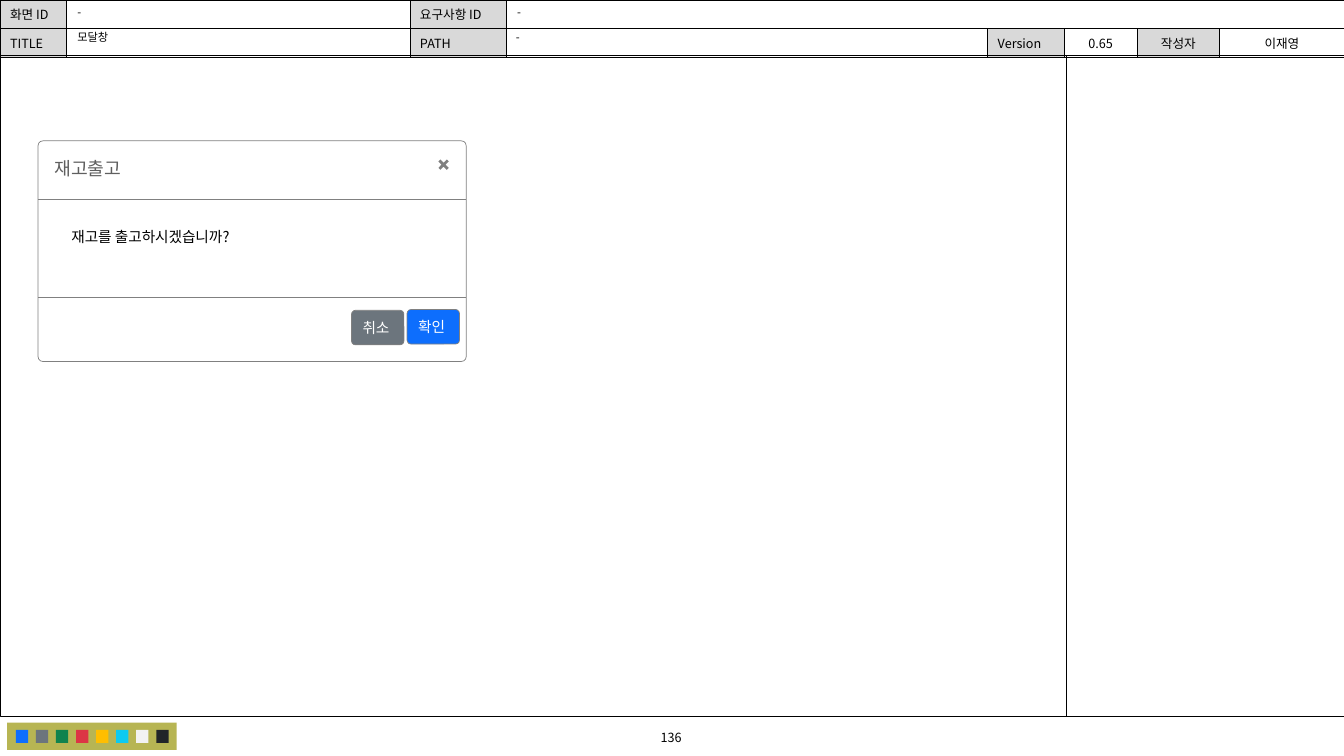
"""Build the stock release dialog page of a screen design document."""
from dataclasses import dataclass
from typing import Optional

import lxml.etree
import pptx
import pptx.dml.color
import pptx.enum.shapes
import pptx.enum.text
import pptx.oxml.ns
import pptx.util

Cm = pptx.util.Cm
Pt = pptx.util.Pt
Kind = pptx.enum.shapes.MSO_SHAPE
Align = pptx.enum.text.PP_ALIGN
Anchor = pptx.enum.text.MSO_ANCHOR
qn = pptx.oxml.ns.qn

NOTO = "Noto Sans CJK KR"
LATO = "Lato"
HUES = {
    "black": "000000", "white": "FFFFFF", "label": "D9D9D9", "edge": "808080",
    "title": "5F5F5F", "olive": "B7B553", "blue": "0D6EFD", "gray": "6C757D",
    "green": "10834E", "red": "DC3545", "yellow": "FFBE00", "cyan": "0DCAF0",
    "light": "F2F2F2", "dark": "212529",
}
SWATCHES = ("blue", "gray", "green", "red", "yellow", "cyan", "light", "dark")
WIDTHS = (1.68, 8.65, 2.44, 12.12, 1.93, 1.83, 2.09, 3.13)
ROWS = (
    ("화면 ID", "", "요구사항 ID", "", "", "", "", ""),
    ("TITLE", "", "PATH", "", "Version", "0.65", "작성자", "이재영"),
)
LABELS = ((0, 2), (0, 2, 4, 6))


@dataclass
class Box:
    x: float
    y: float
    w: float
    h: float
    text: str = ""
    size: float = 9
    font: str = NOTO
    ink: str = "black"
    kind: Optional[Kind] = None
    fill: str = ""
    line: str = ""
    width: float = 0.5
    round: float = 0
    align: Align = Align.LEFT
    anchor: Anchor = Anchor.MIDDLE
    pad: tuple = (0.25, 0.13, 0.25, 0.13)
    wrap: bool = True
    space: float = 1


@dataclass
class Rule:
    x: float
    y: float
    to_x: float
    to_y: float
    hue: str


def color(name: str) -> pptx.dml.color.RGBColor:
    return pptx.dml.color.RGBColor.from_string(HUES[name])


def style(para, size: float, font: str, ink: str, align: Align) -> None:
    para.alignment = align
    for run in para.runs:
        run.font.size = Pt(size)
        run.font.name = font
        run.font.color.rgb = color(ink)
        east = lxml.etree.SubElement(run.font._element, qn("a:ea"))
        east.set("typeface", font)


def draw_box(shapes, box: Box) -> None:
    place = [Cm(n) for n in (box.x, box.y, box.w, box.h)]
    if box.kind is None:
        shape = shapes.add_textbox(*place)
    else:
        shape = shapes.add_shape(box.kind, *place)
        paint(shape, box.fill, box.line, box.width)
        if box.round:
            shape.adjustments[0] = box.round
    if not box.text:
        return
    frame = shape.text_frame
    frame.text = box.text
    frame.word_wrap = box.wrap
    frame.vertical_anchor = box.anchor
    (frame.margin_left, frame.margin_top,
     frame.margin_right, frame.margin_bottom) = [Cm(n) for n in box.pad]
    para = frame.paragraphs[0]
    style(para, box.size, box.font, box.ink, box.align)
    if box.space != 1:
        para.line_spacing = box.space


def paint(shape, fill: str, line: str, width: float = 0.5) -> None:
    shape.shadow.inherit = False
    if fill:
        shape.fill.solid()
        shape.fill.fore_color.rgb = color(fill)
    else:
        shape.fill.background()
    if line:
        shape.line.color.rgb = color(line)
        shape.line.width = Pt(width)
    else:
        shape.line.fill.background()


def draw_rule(shapes, rule: Rule) -> None:
    ends = [Cm(n) for n in (rule.x, rule.y, rule.to_x, rule.to_y)]
    line = shapes.add_connector(pptx.enum.shapes.MSO_CONNECTOR.STRAIGHT, *ends)
    line.line.color.rgb = color(rule.hue)
    line.line.width = Pt(0.5)
    lxml.etree.SubElement(line._element.spPr, qn("a:effectLst"))


def border(cell) -> None:
    props = cell._tc.get_or_add_tcPr()
    for side in ("a:lnL", "a:lnR", "a:lnT", "a:lnB"):
        edge = lxml.etree.SubElement(props, qn(side), w=str(Pt(0.5)))
        fill = lxml.etree.SubElement(edge, qn("a:solidFill"))
        lxml.etree.SubElement(fill, qn("a:srgbClr"), val=HUES["black"])


def draw_head(shapes) -> None:
    table = shapes.add_table(len(ROWS), len(WIDTHS), 0, 0, Cm(33.87), Cm(1.42)).table
    table.first_row = table.horz_banding = False
    for col, width in zip(table.columns, WIDTHS):
        col.width = Cm(width)
    for r, row in enumerate(ROWS):
        table.rows[r].height = Cm(0.71)
        for c, text in enumerate(row):
            cell = table.cell(r, c)
            border(cell)
            cell.fill.solid()
            cell.fill.fore_color.rgb = color("label" if c in LABELS[r] else "white")
            para = cell.text_frame.paragraphs[0]
            para.text = text
            style(para, 9, NOTO, "black", Align.CENTER if c > 4 else Align.LEFT)
            if not text:
                para._p.get_or_add_endParaRPr().set("sz", "900")
    table.cell(0, 3).merge(table.cell(0, 7))


def draw_cross(shapes, x: float, y: float) -> None:
    arm = [(0, -0.05), (0.08, -0.13), (0.13, -0.08)]
    points = []
    for _ in range(4):
        points += [(Cm(x + dx), Cm(y + dy)) for dx, dy in arm]
        arm = [(-dy, dx) for dx, dy in arm]
    pen = shapes.build_freeform(*points[0])
    pen.add_line_segments(points[1:], close=True)
    paint(pen.convert_to_shape(), "edge", "")


def main() -> None:
    deck = pptx.Presentation()
    deck.slide_width, deck.slide_height = Cm(33.87), Cm(19.05)
    shapes = deck.slides.add_slide(deck.slide_layouts[6]).shapes

    draw_head(shapes)
    draw_box(shapes, Box(0, 1.4, 33.87, 16.66, kind=Kind.RECTANGLE, line="black", width=0.25))
    draw_box(shapes, Box(13.64, 18.26, 6.55, 0.64, "136", align=Align.CENTER))
    draw_rule(shapes, Rule(26.87, 1.42, 26.87, 18.06, "black"))

    draw_box(shapes, Box(0.18, 18.21, 4.27, 0.69, kind=Kind.RECTANGLE, fill="olive"))
    step = (3.94 - 0.4) / (len(SWATCHES) - 1)
    for i, hue in enumerate(SWATCHES):
        draw_box(shapes, Box(0.4 + i * step, 18.39, 0.31, 0.33, kind=Kind.RECTANGLE, fill=hue))

    draw_box(shapes, Box(0.96, 3.55, 10.79, 5.56, "재고출고", 13, LATO, "title",
                         Kind.ROUNDED_RECTANGLE, "white", "edge", round=0.022,
                         anchor=Anchor.TOP, pad=(0.38, 0.38, 0.25, 0.13)))
    for y in (5.03, 7.49):
        draw_rule(shapes, Rule(0.96, y, 11.75, y, "edge"))
    draw_cross(shapes, 11.18, 4.15)
    draw_box(shapes, Box(1.55, 5.61, 5.72, 0.71, "재고를 출고하시겠습니까?", 10.5))
    for x, y, text, hue in ((10.26, 7.8, "확인", "blue"), (8.86, 7.82, "취소", "gray")):
        draw_box(shapes, Box(x, y, 1.32, 0.87, text, 10.5, LATO, "white",
                             Kind.ROUNDED_RECTANGLE, hue, "edge", round=0.112,
                             pad=(0.25, 0.18, 0.25, 0.18), wrap=False))

    for x, y, w, h, text in (
        (12.78, 0.03, 21.06, 0.58, "-"),
        (1.7, 0.03, 8.64, 0.58, "-"),
        (1.7, 0.71, 8.59, 0.51, "모달창"),
        (12.75, 0.66, 12.04, 0.58, "-"),
    ):
        draw_box(shapes, Box(x, y, w, h, text, 8, space=0.9))

    deck.save("out.pptx")


if __name__ == "__main__":
    main()
